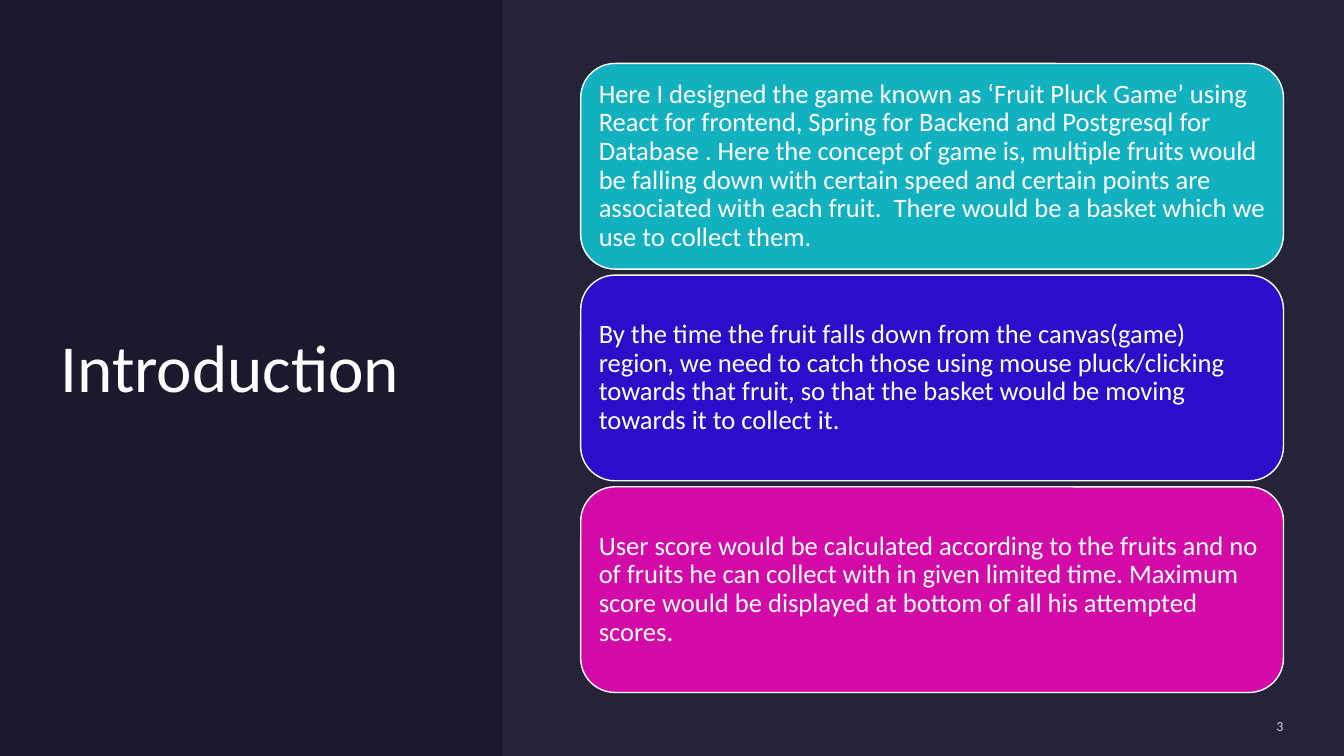
from lxml import etree
from pptx import Presentation
from pptx.dml.color import RGBColor
from pptx.enum.shapes import MSO_SHAPE
from pptx.enum.text import MSO_ANCHOR, MSO_AUTO_SIZE, PP_ALIGN
from pptx.oxml.ns import qn
from pptx.util import Emu, Pt

RECT, ROUND = MSO_SHAPE.RECTANGLE, MSO_SHAPE.ROUNDED_RECTANGLE
MIDDLE, FIXED = MSO_ANCHOR.MIDDLE, MSO_AUTO_SIZE.NONE
LEFT, RIGHT = PP_ALIGN.LEFT, PP_ALIGN.RIGHT
SCALE = 9144
WIDE, HIGH = 1333, 750
NIGHT, MIST, WHITE = "1B192E", "E4E3F0", "FFFFFF"

CARDS = [
    ("12B1BF", "Here I designed the game known as ‘Fruit Pluck Game’ using React for frontend, "
     "Spring for Backend and Postgresql for Database . Here the concept of game is, multiple "
     "fruits would be falling down with certain speed and certain points are associated with "
     "each fruit.  There would be a basket which we use to collect them."),
    ("2A0EC9", "By the time the fruit falls down from the canvas(game) region, we need to catch "
     "those using mouse pluck/clicking towards that fruit, so that the basket would be moving "
     "towards it to collect it."),
    ("D40AA8", "User score would be calculated according to the fruits and no of fruits he can "
     "collect with in given limited time. Maximum score would be displayed at bottom of all "
     "his attempted scores."),
]


def px(n):
    """Turn whole px into EMU."""
    return Emu(n * SCALE)


def rgb(code):
    """Turn a hex string into a colour."""
    return RGBColor.from_string(code)


def fade(node, share):
    """Set the opacity, in percent, of the colours below a node."""
    for tint in node.iter(qn("a:srgbClr")):
        etree.SubElement(tint, qn("a:alpha")).set("val", str(share * 1000))


def write(shape, text, size=19, align=LEFT, inset=0, lead=None, alpha=None):
    """Put formatted text into a shape."""
    frame = shape.text_frame
    frame.word_wrap = True
    frame.auto_size = FIXED
    frame.vertical_anchor = MIDDLE
    frame.margin_left = frame.margin_right = px(inset)
    frame.margin_top = frame.margin_bottom = px(inset)
    para = frame.paragraphs[0]
    para.alignment = align
    if lead:
        para.line_spacing = lead
    run = para.add_run()
    run.text = text
    run.font.name = "Calibri"
    run.font.size = Pt(size)
    run.font.color.rgb = rgb(WHITE)
    if alpha:
        fade(run.font._element, alpha)


class Deck:
    """Hold the style and the current slide."""

    def __init__(self):
        """Start a deck with one title-only slide."""
        self.show = Presentation()
        self.show.slide_width, self.show.slide_height = px(WIDE), px(HIGH)
        self.slide = self.show.slides.add_slide(self.show.slide_layouts[5])
        ground = self.slide.background.fill
        ground.solid()
        ground.fore_color.rgb = rgb(NIGHT)

    def title(self, box, text):
        """Place and fill the title."""
        head = self.slide.shapes.title
        head.left, head.top, head.width, head.height = map(px, box)
        write(head, text, size=48)

    def block(self, kind, box, fill, line=None):
        """Add a filled shape."""
        shape = self.slide.shapes.add_shape(kind, *map(px, box))
        shape.shadow.inherit = False
        shape.fill.solid()
        shape.fill.fore_color.rgb = rgb(fill)
        if line:
            shape.line.color.rgb = rgb(line)
            shape.line.width = Pt(1)
        else:
            shape.line.fill.background()
        return shape

    def panel(self, box, fill, alpha=None):
        """Add a plain panel behind the title."""
        shape = self.block(RECT, box, fill)
        if alpha:
            fade(shape._element.spPr, alpha)
        self.slide.shapes.title._element.addprevious(shape._element)

    def card(self, box, fill, text):
        """Add a rounded card with its text."""
        write(self.block(ROUND, box, fill, WHITE), text, inset=8, lead=0.9)

    def label(self, box, text, **form):
        """Add a text box."""
        write(self.slide.shapes.add_textbox(*map(px, box)), text, **form)


def main():
    """Build the slide and save it."""
    deck = Deck()
    deck.panel((0, 0, WIDE, HIGH), NIGHT)
    deck.panel((498, 0, WIDE - 498, HIGH), MIST, alpha=5)
    deck.title((60, 60, 390, 606), "Introduction")
    deck.label((1088, 712, 185, 17), "3", size=10, align=RIGHT, alpha=80)
    for row, (fill, text) in enumerate(CARDS):
        deck.card((576, 63 + 210 * row, 697, 204), fill, text)
    deck.show.save("out.pptx")


if __name__ == "__main__":
    main()
